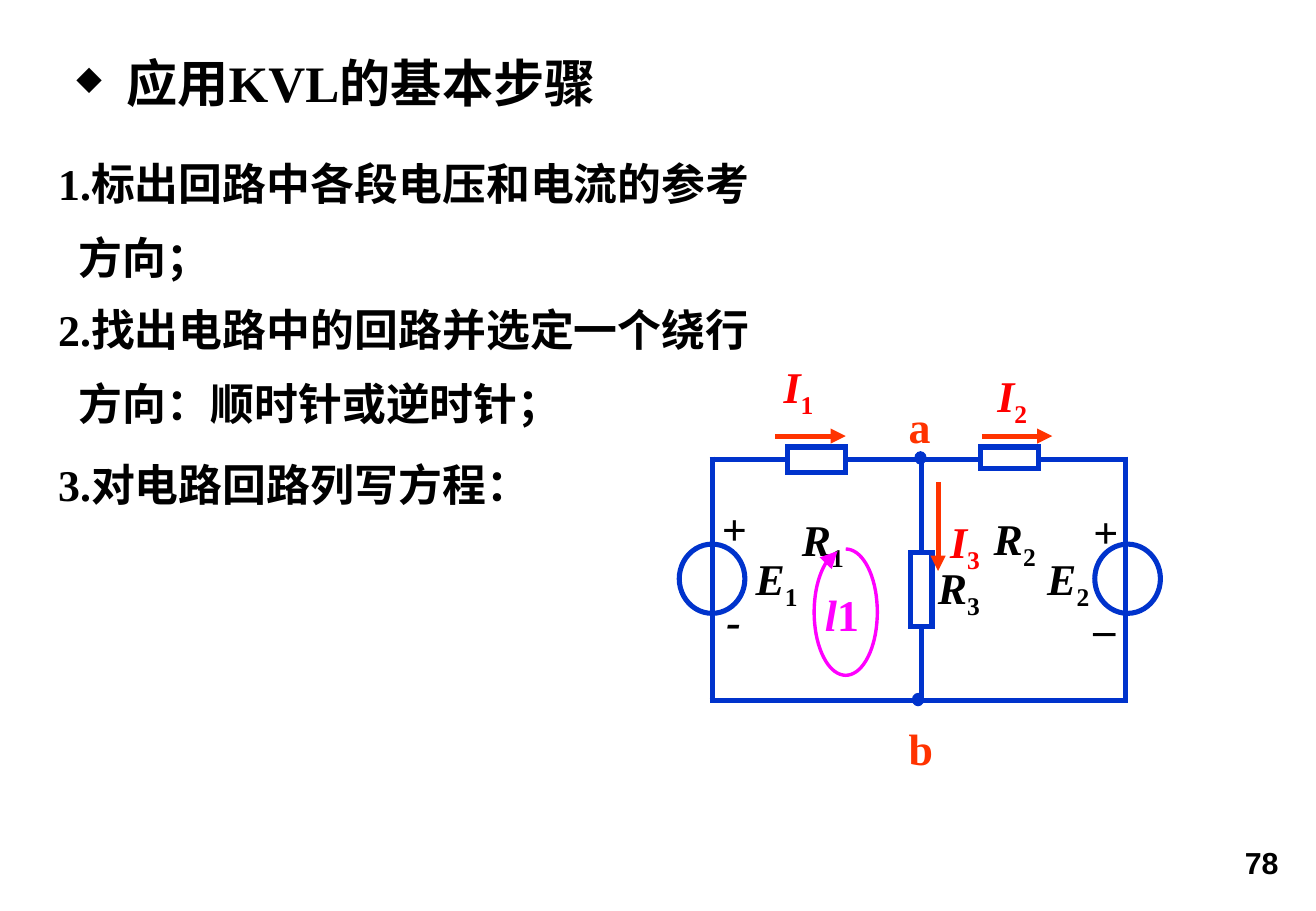
from dataclasses import dataclass
from math import cos, radians, sin

from lxml.etree import SubElement
from pptx import Presentation
from pptx.dml.color import RGBColor
from pptx.enum.shapes import MSO_CONNECTOR, MSO_SHAPE
from pptx.enum.text import MSO_ANCHOR, PP_ALIGN
from pptx.oxml.ns import qn
from pptx.util import Inches, Pt


@dataclass(frozen=True)
class Theme:
    ink: str = "000000"
    paper: str = "FFFFFF"
    wire: str = "0033CC"
    arrow: str = "FF3300"
    current: str = "FF0000"
    loop: str = "FF00FF"
    serif: str = "Times New Roman"
    sans: str = "Arial"
    title: float = 30.3
    body: float = 26
    page: float = 18
    gap: float = 13
    stroke: float = 3
    cell: float = 0.1


def write(p, text, font, size, color, italic=False, sub=False):
    r = p.add_run()
    r.text = text
    f = r.font
    f.name, f.size, f.bold, f.italic = font, Pt(size), True, italic
    f.color.rgb = RGBColor.from_string(color)
    if sub:
        r._r.get_or_add_rPr().set("baseline", "-25000")


class Board:
    def __init__(self, prs, theme):
        self.t = theme
        self.s = prs.slides.add_slide(prs.slide_layouts[6])

    def at(self, *cells):
        return [Inches(c * self.t.cell) for c in cells]

    def text(self, x, y, w, h, lines, wrap=True, align=PP_ALIGN.LEFT,
             anchor=MSO_ANCHOR.TOP, bullet=None, indent=0, hanging=0, **fmt):
        fmt = {"font": self.t.serif, "size": self.t.body, "color": self.t.ink} | fmt
        tf = self.s.shapes.add_textbox(*self.at(x, y, w, h)).text_frame
        tf.word_wrap, tf.vertical_anchor = wrap, anchor
        for i, runs in enumerate(lines):
            p = tf.paragraphs[0] if i == 0 else tf.add_paragraph()
            p.alignment = align
            pPr = p._p.get_or_add_pPr()
            if i:
                p.space_before = Pt(self.t.gap)
            if i or bullet:
                left, first = self.at(indent, -hanging)
                pPr.set("marL", str(left))
                pPr.set("indent", str(first))
            if bullet:
                SubElement(pPr, qn("a:buSzPct")).set("val", "65000")
                SubElement(pPr, qn("a:buChar")).set("char", bullet)
            for text, extra in runs:
                write(p, text, **(fmt | extra))

    def symbol(self, x, y, name, index="", **fmt):
        runs = [(name, {"italic": True})]
        if index:
            runs.append((index, {"sub": True}))
        self.text(x, y, 8, 5.4, [runs], **fmt)

    def mark(self, x, y, text, **fmt):
        self.text(x, y, 5, 5.4, [[(text, fmt)]])

    def stroke(self, sp, color, width, head=None):
        sp.line.color.rgb = RGBColor.from_string(color)
        sp.line.width = Pt(width)
        ln = sp.line._get_or_add_ln()
        SubElement(ln, qn("a:miter")).set("lim", "800000")
        if head:
            tail = SubElement(ln, qn("a:tailEnd"))
            for name, value in (("type", "triangle"), ("w", head), ("len", head)):
                tail.set(name, value)

    def line(self, x1, y1, x2, y2, color=None, head=None):
        c = self.s.shapes.add_connector(MSO_CONNECTOR.STRAIGHT, *self.at(x1, y1, x2, y2))
        self.stroke(c, color or self.t.wire, self.t.stroke, head)
        SubElement(c._element.spPr, qn("a:effectLst"))

    def shape(self, kind, x, y, w, h, fill=None, width=None):
        sp = self.s.shapes.add_shape(kind, *self.at(x, y, w, h))
        sp.shadow.inherit = False
        sp.fill.solid()
        sp.fill.fore_color.rgb = RGBColor.from_string(fill or self.t.paper)
        self.stroke(sp, self.t.wire, width or self.t.stroke)

    def loop(self, cx, cy, rx, ry, start, end, step=5):
        points = [self.at(cx + rx * cos(radians(a)), cy + ry * sin(radians(a)))
                  for a in range(start, end + 1, step)]
        fb = self.s.shapes.build_freeform(*points[0])
        fb.add_line_segments(points[1:], close=False)
        sp = fb.convert_to_shape()
        sp.shadow.inherit = False
        sp.fill.background()
        self.stroke(sp, self.t.loop, 2, head="lg")


def main():
    theme = Theme()
    prs = Presentation()
    prs.slide_width, prs.slide_height = Inches(10.83), Inches(7.5)
    b = Board(prs, theme)

    b.text(76.3, 69, 29.9, 4, [[("78", {})]], align=PP_ALIGN.RIGHT,
           font=theme.sans, size=theme.page)
    b.text(4.2, 3.7, 49.9, 6.1, [[("应用KVL的基本步骤", {})]], bullet="◆",
           indent=5.2, hanging=4.1, size=theme.title)
    steps = [
        (12.4, ["1.标出回路中各段电压和电流的参考", "方向；"]),
        (24.4, ["2.找出电路中的回路并选定一个绕行", "方向：顺时针或逆时针；"]),
        (37.2, ["3.对电路回路列写方程："]),
    ]
    for y, lines in steps:
        b.text(3.8, y, 68.5, 6 * len(lines), [[(line, {})] for line in lines], indent=1.7)

    left, middle, right, top, bottom = 58.6, 75.8, 92.6, 37.8, 57.7
    for x in (left, right + 0.2):
        b.shape(MSO_SHAPE.OVAL, x - 2.7, 44.8, 5.4, 5.7)
    for x in (left, middle, right):
        b.line(x, top - 0.2, x, bottom + 0.2)
    for y in (top, bottom):
        b.line(left - 0.2, y, right, y)
    for x, y, w, h in [(64.8, 36.8, 4.8, 2.1), (80.7, 36.8, 4.8, 1.8), (74.9, 45.5, 1.8, 6.1)]:
        b.shape(MSO_SHAPE.RECTANGLE, x, y, w, h)
    for x, y in [(75.3, 37.2), (75.1, 57.1)]:
        b.shape(MSO_SHAPE.OVAL, x, y, 0.9, 1, fill=theme.wire, width=0.75)

    for line in [(63.8, 35.9, 69.6, 35.9), (80.8, 35.9, 86.6, 35.9), (77.2, 39.7, 77.2, 47)]:
        b.line(*line, color=theme.arrow, head="med")
    for x, y, index in [(63.5, 29.1, "1"), (81.1, 29.9, "2"), (77.2, 41.9, "3")]:
        b.symbol(x, y, "I", index, color=theme.current)
    for x, y, name, index in [(65, 41.7, "R", "1"), (80.8, 41.6, "R", "2"),
                              (76.2, 45.7, "R", "3"), (61.2, 44.9, "E", "1"),
                              (85.2, 44.9, "E", "2")]:
        b.symbol(x, y, name, index)

    b.symbol(58.4, 40.8, "+")
    b.symbol(58.8, 48.4, "-")
    b.mark(89, 41.1, "+")
    b.mark(89, 47.8, "_")
    b.mark(73.8, 32.4, "a", color=theme.arrow)
    b.mark(73.8, 58.9, "b", color=theme.arrow)

    b.loop(69.6, 50.4, 2.6, 5.2, -90, 255)
    b.text(66.8, 47.8, 5, 5.5, [[("l", {"italic": True}), ("1", {})]], wrap=False,
           align=PP_ALIGN.CENTER, anchor=MSO_ANCHOR.MIDDLE, color=theme.loop)
    prs.save("out.pptx")


if __name__ == "__main__":
    main()
